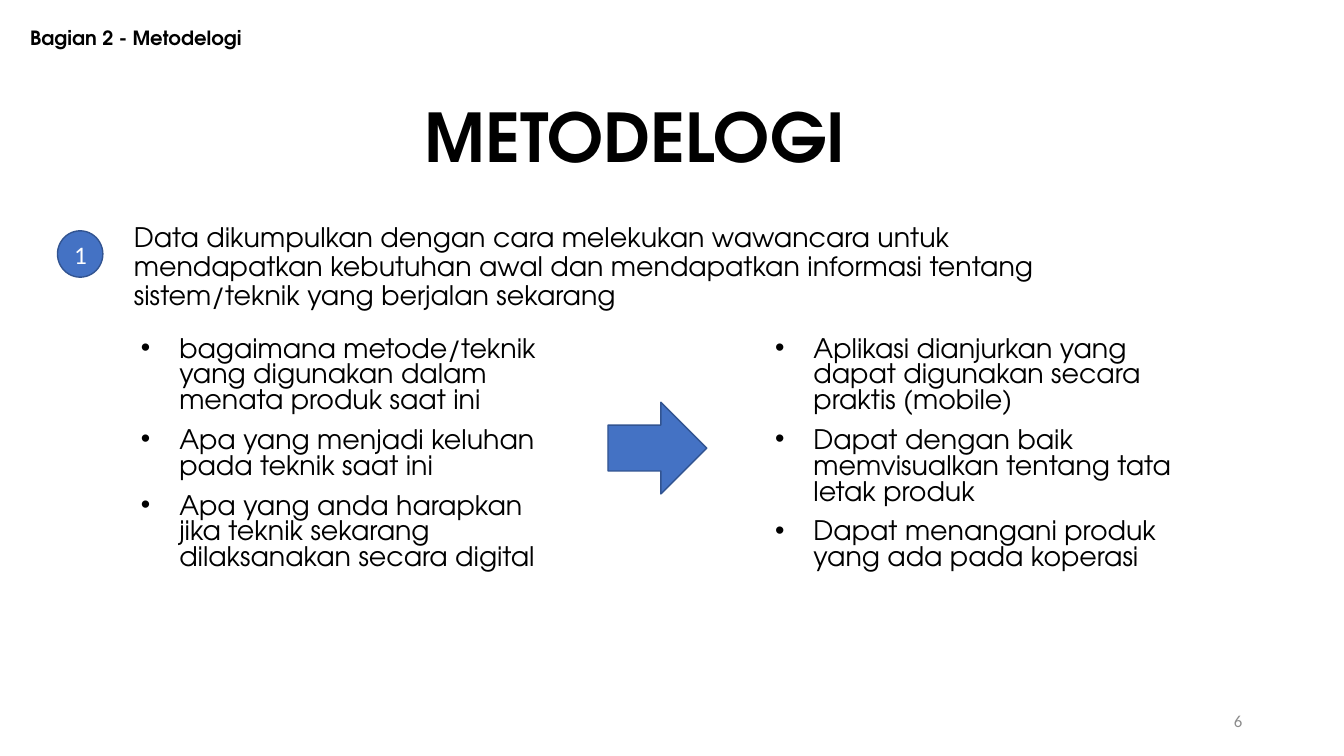
"""Build the research method slide with its interview questions and findings."""
from dataclasses import dataclass

from lxml.etree import SubElement
from pptx import Presentation
from pptx.dml.color import RGBColor
from pptx.enum.shapes import MSO_SHAPE
from pptx.enum.text import MSO_ANCHOR, MSO_AUTO_SIZE, PP_ALIGN
from pptx.oxml.ns import qn
from pptx.shapes.autoshape import Shape
from pptx.slide import Slide
from pptx.util import Inches, Pt

BLACK = RGBColor(0x00, 0x00, 0x00)
WHITE = RGBColor(0xFF, 0xFF, 0xFF)
GRAY = RGBColor(0x8C, 0x8C, 0x8C)
BLUE = RGBColor(0x44, 0x72, 0xC4)
DARK_BLUE = RGBColor(0x32, 0x54, 0x91)
HEADING_FONT = "TeX Gyre Adventor"
NUMBER_FONT = "Calibri"
BULLET_INDENT = Inches(0.38)


@dataclass(frozen=True)
class Box:
    """Position and size in inches."""

    left: float
    top: float
    width: float
    height: float

    def lengths(self) -> tuple[Inches, Inches, Inches, Inches]:
        """Return the four measures as slide lengths."""
        return Inches(self.left), Inches(self.top), Inches(self.width), Inches(self.height)


@dataclass(frozen=True)
class TextStyle:
    """Character and paragraph formatting."""

    size: float
    font: str = HEADING_FONT
    color: RGBColor = BLACK
    bold: bool = False
    alignment: PP_ALIGN = PP_ALIGN.LEFT
    line_spacing: float = 0.9
    space_before: float = 10
    anchor: MSO_ANCHOR = MSO_ANCHOR.TOP
    bulleted: bool = False


@dataclass(frozen=True)
class TextBlock:
    """A text box with its paragraphs."""

    box: Box
    style: TextStyle
    paragraphs: tuple[str, ...]


TITLE_STYLE = TextStyle(48, bold=True, alignment=PP_ALIGN.CENTER)
BODY_STYLE = TextStyle(19.2)
BULLET_STYLE = TextStyle(19.2, line_spacing=0.8, bulleted=True)
SECTION_STYLE = TextStyle(14, bold=True)
PAGE_STYLE = TextStyle(12, NUMBER_FONT, GRAY, alignment=PP_ALIGN.RIGHT,
                       line_spacing=1.0, space_before=0, anchor=MSO_ANCHOR.MIDDLE)
BADGE_STYLE = TextStyle(18, NUMBER_FONT, WHITE, alignment=PP_ALIGN.CENTER,
                        line_spacing=1.0, space_before=0, anchor=MSO_ANCHOR.MIDDLE)

TEXT_BLOCKS = (
    TextBlock(Box(1.23, 2.18, 10, 4.74), BODY_STYLE, (
        "Data dikumpulkan dengan cara melekukan wawancara untuk mendapatkan kebutuhan awal "
        "dan mendapatkan informasi tentang sistem/teknik yang berjalan sekarang",
    )),
    TextBlock(Box(9.42, 6.95, 3, 0.4), PAGE_STYLE, ("6",)),
    TextBlock(Box(0.2, 0.23, 5.02, 0.43), SECTION_STYLE, ("Bagian 2 - Metodelogi",)),
    TextBlock(Box(1.3, 3.3, 4.34, 2.5), BULLET_STYLE, (
        "bagaimana metode/teknik yang digunakan dalam menata produk saat ini",
        "Apa yang menjadi keluhan pada teknik saat ini",
        "Apa yang anda harapkan jika teknik sekarang dilaksanakan secara digital",
    )),
    TextBlock(Box(7.59, 3.3, 4.34, 2.5), BULLET_STYLE, (
        "Aplikasi dianjurkan yang dapat digunakan secara praktis (mobile)",
        "Dapat dengan baik memvisualkan tentang tata letak produk",
        "Dapat menangani produk yang ada pada koperasi",
    )),
)


def write_text(shape: Shape, paragraphs: tuple[str, ...], style: TextStyle) -> None:
    """Fill a shape with formatted paragraphs."""
    frame = shape.text_frame
    frame.word_wrap = True
    frame.auto_size = MSO_AUTO_SIZE.NONE
    frame.vertical_anchor = style.anchor
    for index, text in enumerate(paragraphs):
        paragraph = frame.add_paragraph() if index else frame.paragraphs[0]
        paragraph.alignment = style.alignment
        paragraph.line_spacing = style.line_spacing
        paragraph.space_before = Pt(style.space_before)
        if style.bulleted:
            properties = paragraph._p.get_or_add_pPr()
            properties.set("marL", str(BULLET_INDENT))
            properties.set("indent", str(-BULLET_INDENT))
            SubElement(properties, qn("a:buFont")).set("typeface", "Arial")
            SubElement(properties, qn("a:buChar")).set("char", "•")
        run = paragraph.add_run()
        run.text = text
        run.font.name = style.font
        run.font.size = Pt(style.size)
        run.font.bold = style.bold
        run.font.color.rgb = style.color


def add_title(slide: Slide, text: str, box: Box) -> None:
    """Place and format the title placeholder."""
    title = slide.shapes.title
    title.left, title.top, title.width, title.height = box.lengths()
    write_text(title, (text,), TITLE_STYLE)


def add_text_block(slide: Slide, block: TextBlock) -> None:
    """Draw one text box."""
    shape = slide.shapes.add_textbox(*block.box.lengths())
    write_text(shape, block.paragraphs, block.style)


def add_blue_shape(slide: Slide, kind: MSO_SHAPE, box: Box) -> Shape:
    """Draw a blue outlined preset shape."""
    shape = slide.shapes.add_shape(kind, *box.lengths())
    shape.shadow.inherit = False
    shape.fill.solid()
    shape.fill.fore_color.rgb = BLUE
    shape.line.color.rgb = DARK_BLUE
    shape.line.width = Pt(1)
    return shape


def main() -> None:
    """Create and save the presentation."""
    presentation = Presentation()
    presentation.slide_width = Inches(13.33)
    presentation.slide_height = Inches(7.5)
    slide = presentation.slides.add_slide(presentation.slide_layouts[5])
    add_title(slide, "METODELOGI", Box(1.3, 0.99, 10, 0.43))
    for block in TEXT_BLOCKS:
        add_text_block(slide, block)
    badge = add_blue_shape(slide, MSO_SHAPE.OVAL, Box(0.57, 2.29, 0.45, 0.46))
    write_text(badge, ("1",), BADGE_STYLE)
    add_blue_shape(slide, MSO_SHAPE.RIGHT_ARROW, Box(6.03, 3.99, 0.98, 0.91))
    presentation.save("out.pptx")


if __name__ == "__main__":
    main()
